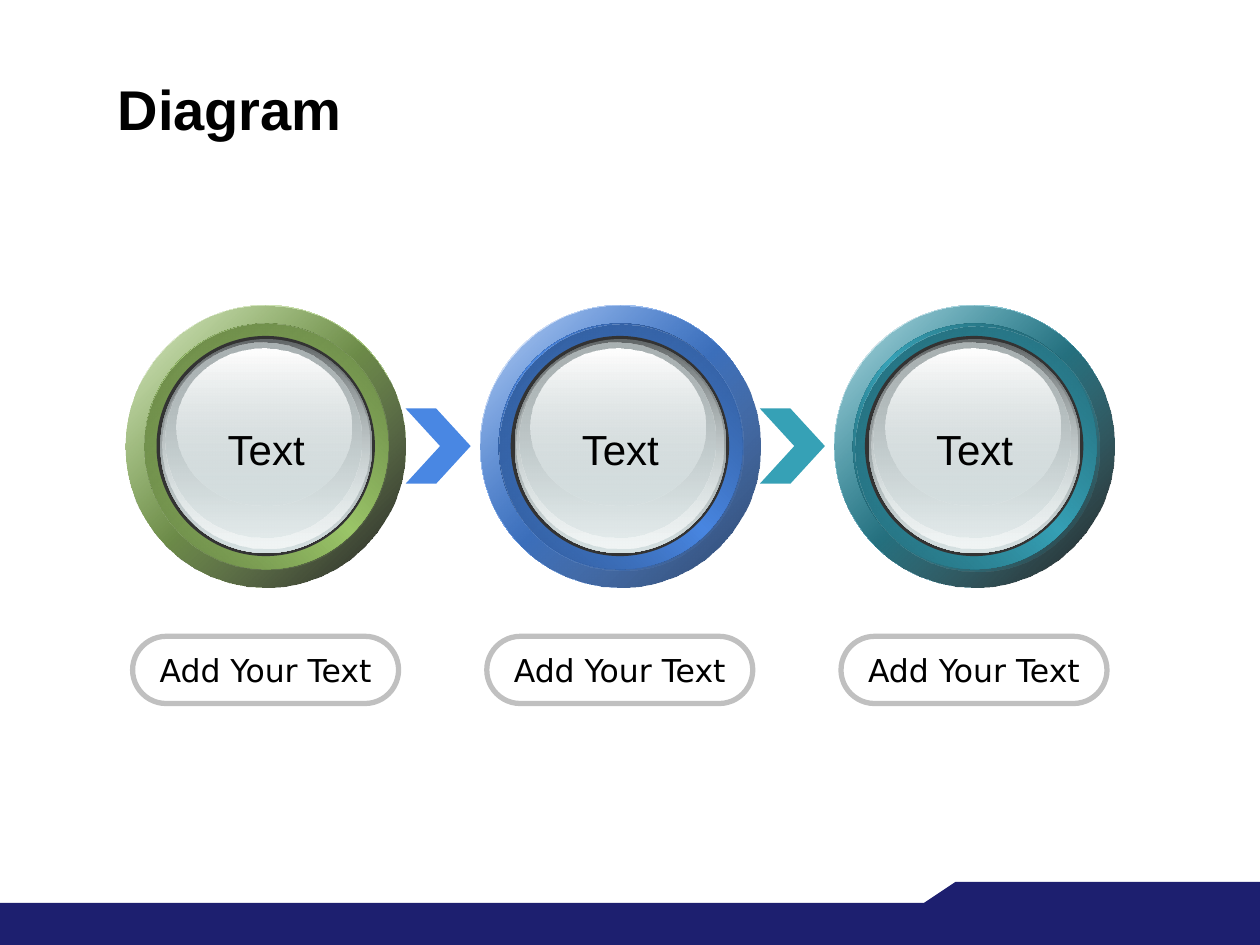
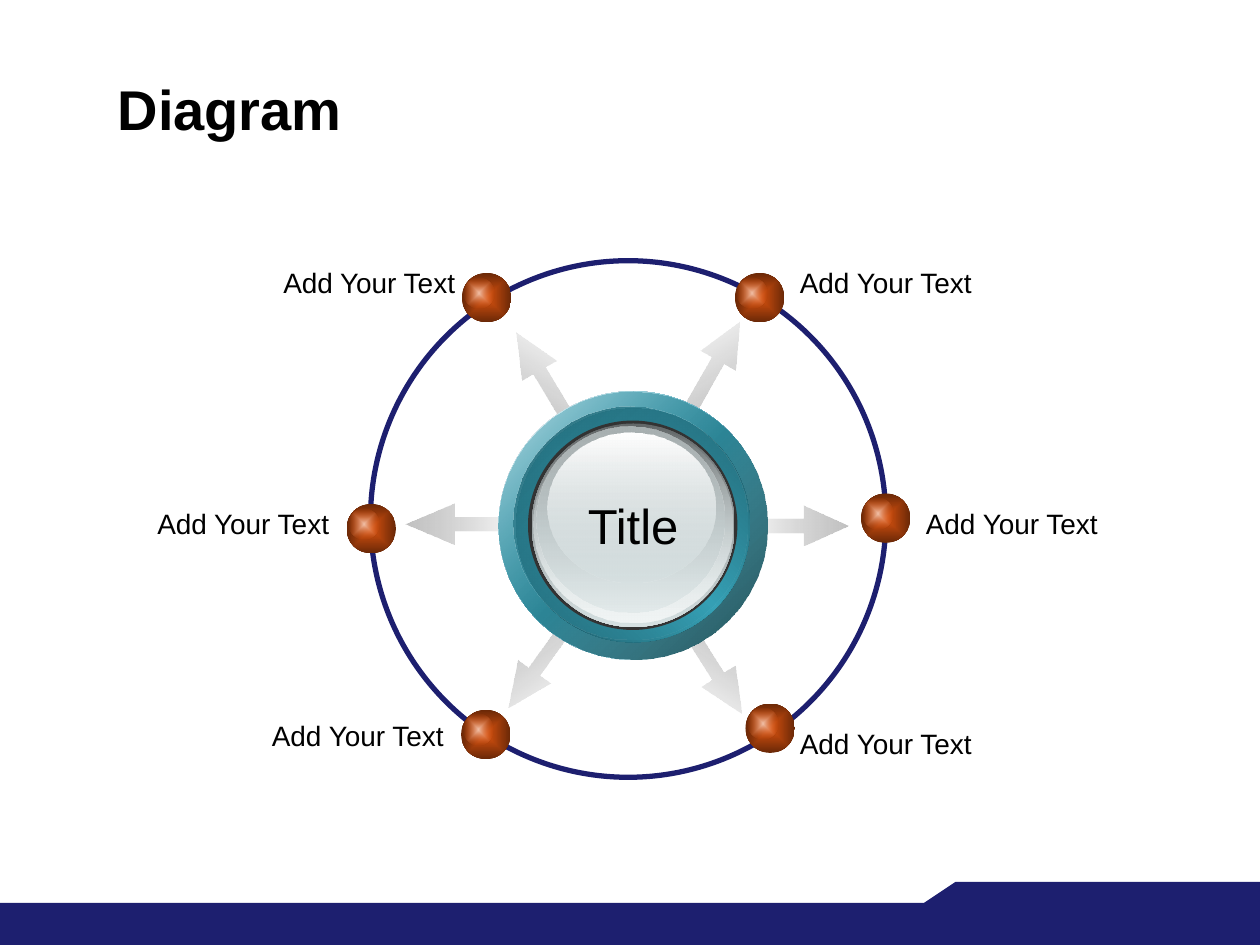
"""Build two diagram slides: a three-step process and a hub with six labelled nodes."""
import pptx
import pptx.dml.color
import pptx.enum.shapes
import pptx.enum.text
import pptx.oxml
import pptx.oxml.ns
import pptx.util

Pt = pptx.util.Pt
RGBColor = pptx.dml.color.RGBColor
SHAPE = pptx.enum.shapes.MSO_SHAPE
ALIGN = pptx.enum.text.PP_ALIGN
MIDDLE = pptx.enum.text.MSO_ANCHOR.MIDDLE
TOP = pptx.enum.text.MSO_ANCHOR.TOP

NAVY = RGBColor(0x1D, 0x1F, 0x6F)
BLACK = RGBColor(0, 0, 0)
WHITE = RGBColor(0xFF, 0xFF, 0xFF)
CHARCOAL = RGBColor(0x33, 0x33, 0x33)
SILVER = RGBColor(0xC0, 0xC0, 0xC0)
ARROW_GRAY = RGBColor(0xAB, 0xAB, 0xAB)
GLASS = RGBColor(0xD6, 0xE1, 0xE2)
GLASS_DARK = RGBColor(0x63, 0x68, 0x69)
GLASS_MID = RGBColor(0xAA, 0xB2, 0xB3)
GLASS_LIGHT = RGBColor(0xF1, 0xF5, 0xF5)
ORANGE = RGBColor(0xD9, 0x52, 0x0F)
ORANGE_DARK = RGBColor(0x6A, 0x28, 0x07)
ORANGE_LIGHT = RGBColor(0xF1, 0xC0, 0xA7)
GREEN = RGBColor(0x9C, 0xC7, 0x69)
GREEN_DARK = RGBColor(0x54, 0x6C, 0x39)
GREEN_BEVEL = RGBColor(0x63, 0x7E, 0x43)
BLUE = RGBColor(0x49, 0x87, 0xE3)
BLUE_DARK = RGBColor(0x28, 0x49, 0x7B)
BLUE_BEVEL = RGBColor(0x2E, 0x56, 0x90)
BLUE_SHADE = RGBColor(0x22, 0x3E, 0x69)
TEAL = RGBColor(0x36, 0xA1, 0xB6)
TEAL_DARK = RGBColor(0x1D, 0x57, 0x62)
TEAL_BEVEL = RGBColor(0x22, 0x66, 0x74)
TEAL_SHADE = RGBColor(0x19, 0x4B, 0x54)

TITLE = "Diagram"
TITLE_BOX = (60, 39.6, 617.8, 44.6)
BAND_OUTLINE = [(0, 516), (528, 516), (546, 504), (720, 504), (720, 540), (0, 540)]

STEPS = [
    {"text": "Text", "caption": "Add Your Text", "color": GREEN, "dark": GREEN_DARK,
     "bevel": GREEN_BEVEL, "shade": (100, BLACK, 90), "bevel_shift": 0},
    {"text": "Text", "caption": "Add Your Text", "color": BLUE, "dark": BLUE_DARK,
     "bevel": BLUE_BEVEL, "shade": (100, BLUE_SHADE, 100), "bevel_shift": 0.5},
    {"text": "Text", "caption": "Add Your Text", "color": TEAL, "dark": TEAL_DARK,
     "bevel": TEAL_BEVEL, "shade": (100, BLACK, 90), "bevel_shift": 1.5},
]
STEP_LEFT, STEP_TOP, STEP_PITCH = 72, 174.4, 202.4
STEP_WIDTH, STEP_HEIGHT = 160, 161.3

HUB = {"text": "Title", "color": TEAL, "dark": TEAL_DARK, "bevel": TEAL_BEVEL,
       "shade": (100, TEAL_SHADE, 100), "bevel_shift": -1.5}
HUB_BOX = (285, 223.6, 153.4, 153.4)
ORBIT_BOX = (211.7, 149, 294.5, 295.2)
NODES = [
    ("Add Your Text", (264, 156), (151.2, 148.3), ALIGN.RIGHT),
    ("Add Your Text", (420, 156), (450, 148.3), ALIGN.LEFT),
    ("Add Your Text", (198, 288), (79.2, 285.8), ALIGN.RIGHT),
    ("Add Your Text", (492, 282), (522, 285.8), ALIGN.LEFT),
    ("Add Your Text", (263.5, 405.6), (144.7, 406.8), ALIGN.RIGHT),
    ("Add Your Text", (426, 402), (450, 411.8), ALIGN.LEFT),
]
ARROWS = [
    (375.8, 199.4, 62.6, 299.6), (375.8, 370, 62.6, 57.8), (280, 205.2, 62.6, 239.5),
    (277.2, 367.2, 62.6, 125.6), (422, 288.7, 62.6, 0), (231.8, 288, 67.7, 180),
]
ARROW_HEIGHT = 23


def set_gradient(shape, stops, angle=None):
    """Fill with (position, colour, opacity) stops, linear or centred if no angle is given."""
    stop_xml = "".join(
        f'<a:gs pos="{position * 1000}"><a:srgbClr val="{color}">'
        f'<a:alpha val="{opacity * 1000}"/></a:srgbClr></a:gs>'
        for position, color, opacity in stops)
    if angle is None:
        direction = ('<a:path path="rect"><a:fillToRect l="50000" t="50000" '
                     'r="50000" b="50000"/></a:path>')
    else:
        direction = f'<a:lin ang="{round(angle * 60000)}" scaled="1"/>'
    gradient = pptx.oxml.parse_xml(
        f'<a:gradFill {pptx.oxml.ns.nsdecls("a")} rotWithShape="0">'
        f'<a:gsLst>{stop_xml}</a:gsLst>{direction}</a:gradFill>')
    shape.fill.background()
    properties = shape.element.spPr
    properties.replace(properties.find(pptx.oxml.ns.qn("a:noFill")), gradient)


def style_shape(shape, fill=None, stops=None, angle=None, line=None):
    """Remove the theme look and apply a solid, gradient or empty fill and an outline."""
    shape.shadow.inherit = False
    if stops:
        set_gradient(shape, stops, angle)
    elif fill is not None:
        shape.fill.solid()
        shape.fill.fore_color.rgb = fill
    else:
        shape.fill.background()
    if line is None:
        shape.line.fill.background()
    else:
        shape.line.color.rgb = line
        shape.line.width = Pt(3)
    return shape


def add_shape(slide, kind, box, **style):
    """Add a styled preset shape at a box in points."""
    return style_shape(slide.shapes.add_shape(kind, *map(Pt, box)), **style)


def write(shape, text, size=16, font="Arial", bold=False, align=ALIGN.CENTER,
          anchor=TOP, wrap=False):
    """Write one formatted paragraph into a shape."""
    frame = shape.text_frame
    frame.word_wrap = wrap
    frame.vertical_anchor = anchor
    paragraph = frame.paragraphs[0]
    paragraph.alignment = align
    run = paragraph.add_run()
    run.text = text
    run.font.size = Pt(size)
    run.font.name = font
    run.font.bold = bold
    run.font.color.rgb = BLACK


def add_label(slide, box, text, **text_format):
    """Add a text box at a box in points."""
    write(slide.shapes.add_textbox(*map(Pt, box)), text, **text_format)


def add_button(slide, box, look):
    """Stack the ellipses of a glossy button, inset as percentages of its box."""
    color, dark = look["color"], look["dark"]
    shift = look["bevel_shift"]
    layers = [
        ((0, 0, 100, 100), 0, 45, [(0, WHITE, 100), (50, color, 100), (100, WHITE, 100)]),
        ((0, 0, 100, 100), 0, 45, [(0, color, 32), look["shade"]]),
        ((6.6, 6.5, 87, 87), 0, 315, [(0, dark, 100), (50, color, 100), (100, dark, 100)]),
        ((6.6, 6.5, 87, 87), shift, 45, [(0, look["bevel"], 100), (100, color, 0)]),
        ((10.9, 10.9, 78, 78), 0, 90, None),
        ((12.3, 12, 75.6, 75.8), 0, 90, [(0, GLASS_DARK, 100), (100, GLASS, 100)]),
        ((13.1, 12.6, 73.8, 73.7), 0, 90, [(0, GLASS, 0), (100, GLASS_LIGHT, 100)]),
        ((14, 13.2, 70.2, 69.1), 0, 90, [(0, GLASS_MID, 100), (100, GLASS, 48)]),
        ((18.1, 15.3, 62.5, 55.8), 0, 90, [(0, WHITE, 100), (100, GLASS, 38)]),
    ]
    left, top, width, height = box
    for (inset_x, inset_y, part_x, part_y), offset, angle, stops in layers:
        layer_box = (left + width * inset_x / 100 + offset, top + height * inset_y / 100 + offset,
                     width * part_x / 100, height * part_y / 100)
        add_shape(slide, SHAPE.OVAL, layer_box, fill=CHARCOAL, stops=stops, angle=angle)


def add_sphere(slide, left, top):
    """Add an orange ball with a highlight."""
    add_shape(slide, SHAPE.OVAL, (left, top, 28.2, 28.2),
              stops=[(0, ORANGE, 100), (100, ORANGE_DARK, 100)])
    add_shape(slide, SHAPE.OVAL, (left + 1.1, top + 2.5, 17.5, 18),
              stops=[(0, ORANGE_LIGHT, 100), (100, ORANGE, 0)])


def add_titled_slide(presentation, layout):
    """Add a slide with the shared title."""
    slide = presentation.slides.add_slide(layout)
    title = slide.shapes.title
    title.left, title.top, title.width, title.height = map(Pt, TITLE_BOX)
    write(title, TITLE, size=32, bold=True, align=ALIGN.LEFT, anchor=MIDDLE, wrap=True)
    return slide


def move_band_to_layout(slide, layout):
    """Draw the footer band and place it on the layout."""
    builder = slide.shapes.build_freeform(*BAND_OUTLINE[0], scale=Pt(1))
    builder.add_line_segments(BAND_OUTLINE[1:])
    band = style_shape(builder.convert_to_shape(), fill=NAVY)
    layout.shapes.element.append(band.element)


def draw_process(slide):
    """Draw the row of buttons, chevrons and captions."""
    for index, step in enumerate(STEPS):
        left = STEP_LEFT + index * STEP_PITCH
        if index:
            chevron = add_shape(slide, SHAPE.CHEVRON, (left - 42.6, 233.4, 37.2, 43),
                                fill=step["color"])
            chevron.adjustments[0] = 0.53
        add_button(slide, (left, STEP_TOP, STEP_WIDTH, STEP_HEIGHT), step)
        add_label(slide, (left + 49.5, 238.3, 61.2, 36), step["text"], size=24)
        pill = add_shape(slide, SHAPE.ROUNDED_RECTANGLE, (left + 3.8, 363.6, 152, 38.4),
                         line=SILVER)
        pill.adjustments[0] = 0.5
        write(pill, step["caption"], size=18, font="DejaVu Sans", anchor=MIDDLE)


def draw_hub(slide):
    """Draw the hub, its arrows, and the labelled nodes on the orbit."""
    for left, top, width, rotation in ARROWS:
        arrow = add_shape(slide, SHAPE.RIGHT_ARROW, (left, top, width, ARROW_HEIGHT),
                          stops=[(0, ARROW_GRAY, 0), (100, SILVER, 100)],
                          angle=(360 - rotation) % 360)
        arrow.rotation = rotation
        arrow.adjustments[0] = 0.35
        arrow.adjustments[1] = 1.21 if rotation == 180 else 1.11
    add_shape(slide, SHAPE.OVAL, ORBIT_BOX, line=NAVY)
    add_button(slide, HUB_BOX, HUB)
    add_label(slide, (328.3, 279.4, 67, 41), HUB["text"], size=28)
    for text, sphere, label, align in NODES:
        add_sphere(slide, *sphere)
        add_label(slide, (*label, 116, 26.6), text, align=align)


def main():
    """Build and save the presentation."""
    presentation = pptx.Presentation()
    presentation.slide_width, presentation.slide_height = Pt(720), Pt(540)
    layout = presentation.slide_layouts[5]
    process_slide = add_titled_slide(presentation, layout)
    move_band_to_layout(process_slide, layout)
    draw_process(process_slide)
    draw_hub(add_titled_slide(presentation, layout))
    presentation.save("out.pptx")


if __name__ == "__main__":
    main()
